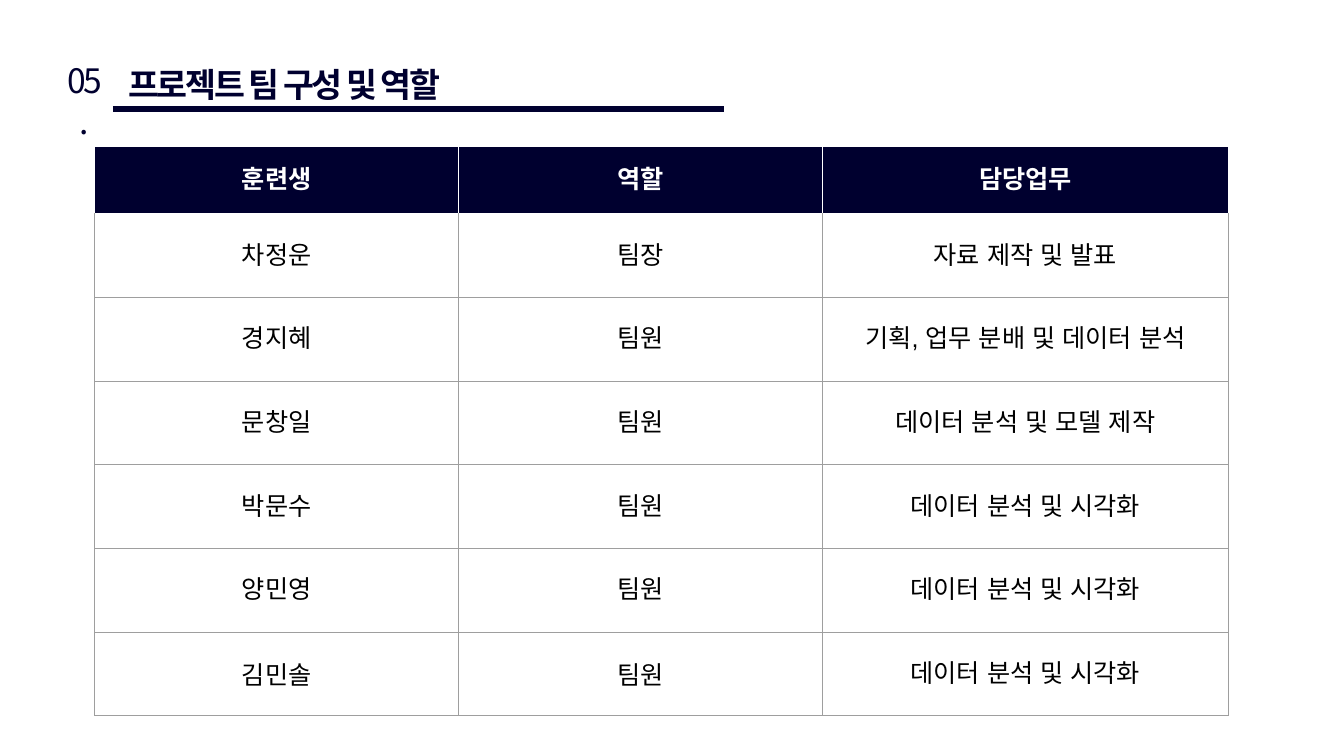
from lxml import etree
from pptx import Presentation
from pptx import util as u
from pptx.dml.color import RGBColor
from pptx.enum import shapes, text
from pptx.oxml import ns

COLORS = {"navy": "00002F", "white": "FFFFFF", "black": "000000", "grid": "9E9E9E"}
HEADING_FONT = "Noto Sans CJK KR"
BODY_FONT = "Arial"
COLUMN_WIDTHS = (3.61, 3.61, 4.02)
HEADER_HEIGHT = 0.67
ANALYSIS = "데이터 분석 및 시각화"
TEAM = [
    ("훈련생", "역할", "담당업무"),
    ("차정운", "팀장", "자료 제작 및 발표"),
    ("경지혜", "팀원", "기획, 업무 분배 및 데이터 분석"),
    ("문창일", "팀원", "데이터 분석 및 모델 제작"),
    ("박문수", "팀원", ANALYSIS),
    ("양민영", "팀원", ANALYSIS),
    ("김민솔", "팀원", ANALYSIS),
]


def rgb(name):
    """Return the named colour."""
    return RGBColor.from_string(COLORS[name])


def add_child(parent, tag, **attributes):
    """Append a DrawingML element and return it."""
    return etree.SubElement(parent, ns.qn(tag), attributes)


def write(frame, words, face, size, color, bold, align, spacing=None):
    """Write one formatted paragraph with the face set for Korean as well."""
    paragraph = frame.paragraphs[0]
    paragraph.alignment = align
    run = paragraph.add_run()
    run.text = words
    font = run.font if spacing else paragraph.font
    font.name, font.size, font.bold = face, u.Pt(size), bold
    font.color.rgb = rgb(color)
    properties = run._r.get_or_add_rPr()
    if spacing:
        properties.set("spc", str(round(spacing * 100)))
    add_child(properties, "a:ea", typeface=face)


def set_borders(cell, top, sides):
    """Draw thin lines on the four sides of a cell."""
    properties = cell._tc.get_or_add_tcPr()
    colors = {"a:lnL": sides, "a:lnR": sides, "a:lnT": top, "a:lnB": sides}
    for index, (tag, color) in enumerate(colors.items()):
        line = etree.Element(ns.qn(tag), w=str(u.Pt(0.6)))
        add_child(add_child(line, "a:solidFill"), "a:srgbClr", val=COLORS[color])
        properties.insert(index, line)


def add_heading(slide, left, top, width):
    """Place the section number, the title and the rule below them."""
    rule = slide.shapes.add_connector(
        shapes.MSO_CONNECTOR.STRAIGHT,
        u.Inches(left + 0.58), u.Inches(top + 0.53),
        u.Inches(left + width), u.Inches(top + 0.53))
    rule.line.color.rgb = rgb("navy")
    rule.line.width = u.Pt(4.5)
    add_child(rule._element.spPr, "a:effectLst")

    number = slide.shapes.add_textbox(
        u.Inches(left), u.Inches(top), u.Inches(0.58), u.Inches(0.5))
    number.text_frame.word_wrap = True
    write(number.text_frame, "05.", HEADING_FONT, 24, "navy", False,
          text.PP_ALIGN.CENTER, -1.5)

    title = slide.shapes.title
    title.left, title.top = u.Inches(left + 0.58), u.Inches(top + 0.03)
    title.width, title.height = u.Inches(3.85), u.Inches(0.5)
    frame = title.text_frame
    frame.word_wrap = False
    frame.auto_size = text.MSO_AUTO_SIZE.NONE
    frame.vertical_anchor = text.MSO_ANCHOR.TOP
    frame.margin_left = u.Inches(0.15)
    write(frame, "프로젝트 팀 구성 및 역할", HEADING_FONT, 24, "navy", True,
          text.PP_ALIGN.LEFT, -1.5)


def add_team_table(slide, left, top, width, height):
    """Place the table of members, roles and duties."""
    table = slide.shapes.add_table(
        len(TEAM), len(COLUMN_WIDTHS), u.Inches(left), u.Inches(top),
        u.Inches(width), u.Inches(height)).table
    table.horz_banding = False
    for column, column_width in zip(table.columns, COLUMN_WIDTHS):
        column.width = u.Inches(column_width)
    member_height = (height - HEADER_HEIGHT) / (len(TEAM) - 1)
    for row_index, values in enumerate(TEAM):
        header = row_index == 0
        last = row_index == len(TEAM) - 1
        table.rows[row_index].height = u.Inches(HEADER_HEIGHT if header else member_height)
        for column_index, value in enumerate(values):
            cell = table.cell(row_index, column_index)
            cell.vertical_anchor = text.MSO_ANCHOR.MIDDLE
            cell.margin_left = cell.margin_right = u.Inches(0.08)
            cell.margin_top = cell.margin_bottom = u.Inches(0.08)
            if header:
                cell.fill.solid()
                cell.fill.fore_color.rgb = rgb("navy")
            else:
                cell.fill.background()
            set_borders(cell, "white" if row_index < 2 else "grid",
                        "white" if header else "grid")
            face = HEADING_FONT if last and column_index < 2 else BODY_FONT
            write(cell.text_frame, value, face, 18, "white" if header else "black",
                  header, text.PP_ALIGN.CENTER)


def main():
    """Build and save the team slide."""
    presentation = Presentation()
    presentation.slide_width = u.Inches(13.33)
    presentation.slide_height = u.Inches(7.5)
    slide = presentation.slides.add_slide(presentation.slide_layouts[5])
    add_heading(slide, 0.54, 0.55, 6.64)
    add_team_table(slide, 0.94, 1.45, sum(COLUMN_WIDTHS), 5.65)
    presentation.save("out.pptx")


if __name__ == "__main__":
    main()
